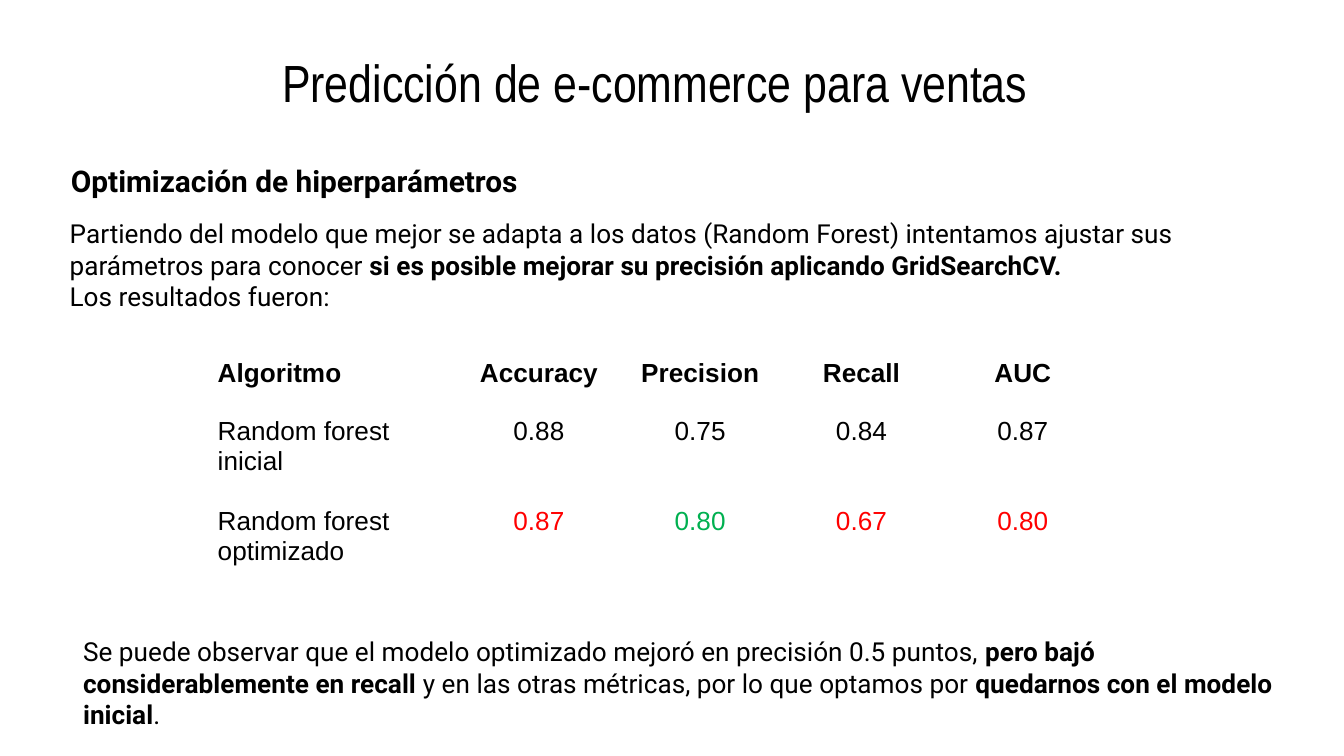
from pptx import Presentation
from pptx.dml.color import RGBColor
from pptx.enum.text import MSO_ANCHOR, MSO_AUTO_SIZE, PP_ALIGN
from pptx.util import Inches, Pt

BLACK = RGBColor(0x00, 0x00, 0x00)
RED = RGBColor(0xFF, 0x00, 0x00)
GREEN = RGBColor(0x00, 0xB0, 0x50)

METRICS = ["Algoritmo", "Accuracy", "Precision", "Recall", "AUC"]
INITIAL = ["Random forest inicial", "0.88", "0.75", "0.84", "0.87"]
OPTIMIZED = ["Random forest optimizado", "0.87", "0.80", "0.67", "0.80"]


def write(frame, paragraphs, font="Roboto", size=14, color=BLACK,
          align=PP_ALIGN.LEFT, spacing=1.0, inset=0.1):
    """Fill a frame; each paragraph is a list of (text, bold) pairs."""
    frame.word_wrap = True
    frame.vertical_anchor = MSO_ANCHOR.TOP
    frame.margin_left = frame.margin_right = Inches(0.1)
    frame.margin_top = frame.margin_bottom = Inches(inset)
    for index, pieces in enumerate(paragraphs):
        paragraph = frame.paragraphs[0] if index == 0 else frame.add_paragraph()
        paragraph.alignment = align
        paragraph.line_spacing = spacing
        for text, bold in pieces:
            run = paragraph.add_run()
            run.text = text
            run.font.name = font
            run.font.size = Pt(size)
            run.font.bold = bold
            run.font.color.rgb = color


def add_title(slide, text):
    title = slide.shapes.title
    title.left, title.top = Inches(-0.13), Inches(0.27)
    title.width, title.height = Inches(10), Inches(0.67)
    title.text_frame.auto_size = MSO_AUTO_SIZE.NONE
    write(title.text_frame, [[(text, False)]], font="Arial Narrow", size=28,
          align=PP_ALIGN.CENTER)


def add_text(slide, left, top, width, height, paragraphs, **text_format):
    box = slide.shapes.add_textbox(Inches(left), Inches(top),
                                   Inches(width), Inches(height))
    write(box.text_frame, paragraphs, **text_format)


def score_color(row, column):
    """Mark each optimized score as better or worse than the initial one."""
    if row < 2 or column == 0:
        return BLACK
    return GREEN if float(OPTIMIZED[column]) > float(INITIAL[column]) else RED


def add_results(slide):
    rows = [METRICS, INITIAL, OPTIMIZED]
    results = slide.shapes.add_table(
        len(rows), len(METRICS), Inches(1.52), Inches(2.57),
        Inches(6.69), Inches(1.77)).table
    results.first_row = results.horz_banding = False
    for column, width in zip(results.columns, [1.89] + [1.2] * 4):
        column.width = Inches(width)
    for row, height in zip(results.rows, [0.43, 0.67, 0.67]):
        row.height = Inches(height)
    for r, values in enumerate(rows):
        for c, value in enumerate(values):
            cell = results.cell(r, c)
            cell.fill.background()
            cell.margin_left = cell.margin_right = Inches(0.1)
            cell.margin_top = cell.margin_bottom = Inches(0.1)
            write(cell.text_frame, [[(value, r == 0)]], font="Arial",
                  color=score_color(r, c),
                  align=PP_ALIGN.CENTER if c else PP_ALIGN.LEFT)


def main():
    deck = Presentation()
    # Widescreen, 16:9
    deck.slide_width = Inches(10)
    deck.slide_height = deck.slide_width * 9 // 16
    slide = deck.slides.add_slide(deck.slide_layouts[5])

    # Heading and introduction
    add_title(slide, "Predicción de e-commerce para ventas")
    add_text(slide, 0.43, 1.07, 9.53, 0.51,
             [[("Optimización de hiperparámetros", True)]],
             size=16, spacing=1.15)
    add_text(slide, 0.42, 1.52, 8.89, 0.91, [
        [("Partiendo del modelo que mejor se adapta a los datos (Random Forest) "
          "intentamos ajustar sus parámetros para conocer ", False),
         ("si es posible mejorar su precisión aplicando GridSearchCV.", True)],
        [("Los resultados fueron:", False)],
    ])

    # Model comparison
    add_results(slide)

    # Conclusion
    add_text(slide, 0.52, 4.68, 9.15, 0.81, [[
        ("Se puede observar que el modelo optimizado mejoró en precisión "
         "0.5 puntos, ", False),
        ("pero bajó considerablemente en recall ", True),
        ("y en las otras métricas, por lo que optamos por ", False),
        ("quedarnos con el modelo inicial", True),
        (".", False),
    ]], inset=0.05)

    deck.save("out.pptx")


if __name__ == "__main__":
    main()
